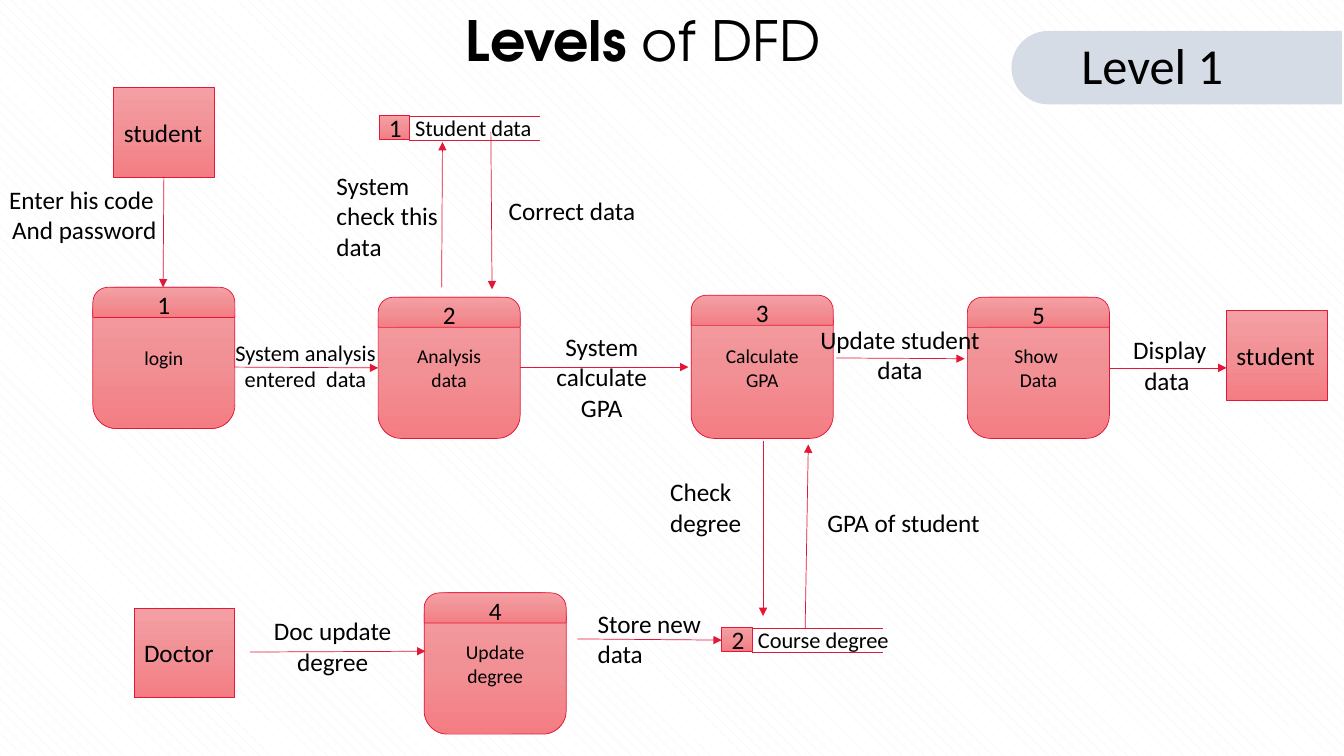
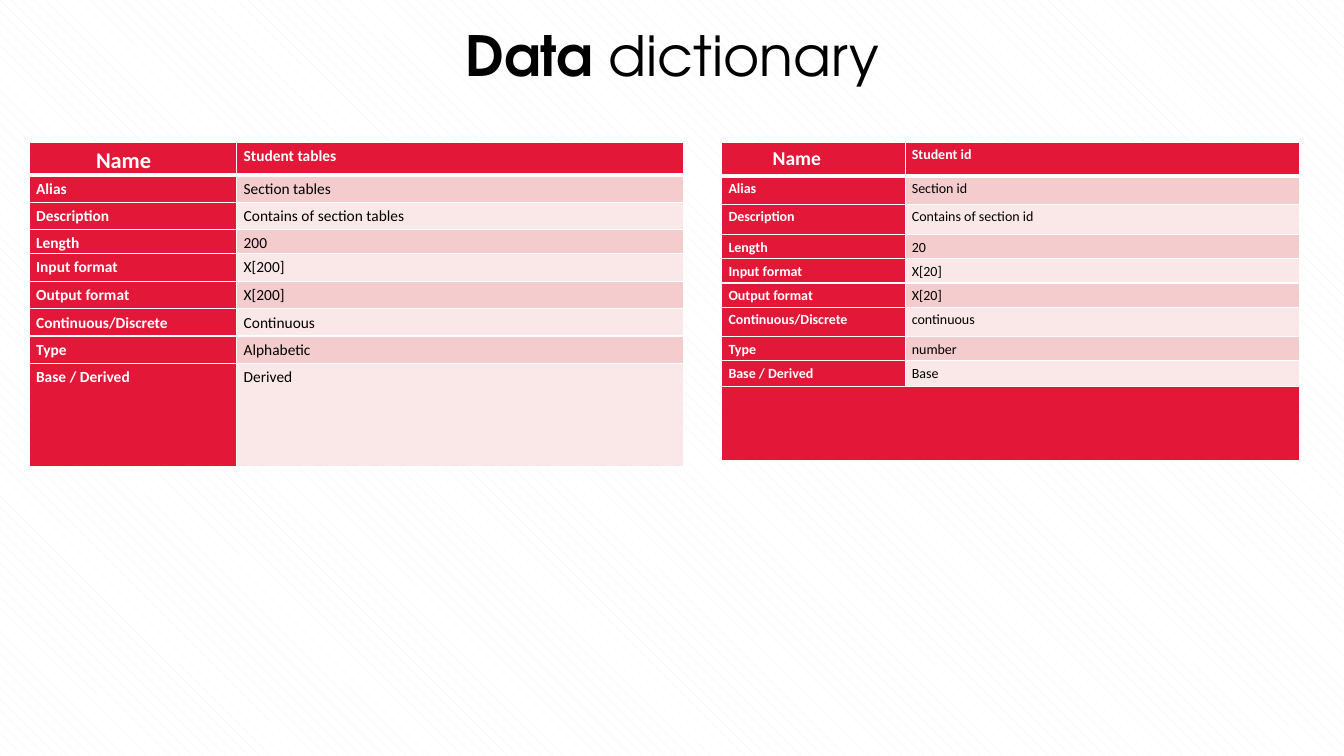
from copy import deepcopy

from lxml.etree import SubElement
from pptx import Presentation
from pptx.dml.color import RGBColor
from pptx.enum.dml import MSO_PATTERN
from pptx.enum.shapes import MSO_CONNECTOR, MSO_SHAPE
from pptx.enum.text import MSO_ANCHOR, MSO_AUTO_SIZE, PP_ALIGN
from pptx.oxml.ns import qn
from pptx.util import Cm, Pt

COLORS = {
    "text": "000000", "white": "FFFFFF", "hatch": "F2F2F2", "red": "E31737",
    "tag": "D6DCE5", "band_dark": "F4CCCE", "band_light": "FAE8E8",
    "node_top": "F49FA4", "node_middle": "F19196", "node_bottom": "F47D83",
}
NODE_STOPS = [(0, "node_top"), (0.5, "node_middle"), (1, "node_bottom")]
BODY_FONT, TITLE_FONT = "Calibri", "TeX Gyre Adventor"
LEFT, CENTER = PP_ALIGN.LEFT, PP_ALIGN.CENTER


def rgb(name):
    return RGBColor.from_string(COLORS[name])


def box(*lengths):
    return [Cm(length) for length in lengths]


class Deck:
    def __init__(self):
        self.prs = Presentation()
        self.prs.slide_width, self.prs.slide_height = box(33.87, 19.05)
        backdrop = self.prs.slide_master.background.fill
        backdrop.patterned()
        backdrop.pattern = MSO_PATTERN.SHINGLE
        backdrop.fore_color.rgb = rgb("hatch")
        backdrop.back_color.rgb = rgb("white")
        self.slide = None

    def add_slide(self, strong, rest, x, y):
        """Start a slide whose title opens in bold."""
        self.slide = self.prs.slides.add_slide(self.prs.slide_layouts[5])
        title = self.slide.shapes.title
        title.left, title.top, title.width, title.height = box(x, y, 29.21, 1.85)
        frame = title.text_frame
        frame.text = strong
        frame.paragraphs[0].add_run().text = rest
        frame.auto_size = MSO_AUTO_SIZE.NONE
        frame.vertical_anchor = MSO_ANCHOR.MIDDLE
        self.style(frame, 39.6, CENTER, font=TITLE_FONT)
        frame.paragraphs[0].line_spacing = 0.9
        for run, bold in zip(frame.paragraphs[0].runs, (True, False)):
            run.font.bold = bold

    def style(self, frame, size, align=LEFT, color="text", bold=False, font=BODY_FONT):
        for paragraph in frame.paragraphs:
            paragraph.alignment = align
            for run in paragraph.runs:
                run.font.name, run.font.size, run.font.bold = font, Pt(size), bold
                run.font.color.rgb = rgb(color)

    def node(self, preset, text, x, y, width, height, size=18, align=CENTER):
        """Add an outlined gradient shape with text."""
        shape = self.slide.shapes.add_shape(preset, *box(x, y, width, height))
        shape.shadow.inherit = False
        shape.fill.gradient()
        stop_list = shape.element.find(".//" + qn("a:gsLst"))
        stop_list.append(deepcopy(stop_list[-1]))
        for stop, (position, color) in zip(shape.fill.gradient_stops, NODE_STOPS):
            stop.position, stop.color.rgb = position, rgb(color)
        shape.fill.gradient_angle = 270
        shape.line.color.rgb, shape.line.width = rgb("red"), Pt(0.5)
        shape.text_frame.text = text
        shape.text_frame.vertical_anchor = MSO_ANCHOR.MIDDLE
        self.style(shape.text_frame, size, align)
        return shape

    def entity(self, text, x, y):
        self.node(MSO_SHAPE.RECTANGLE, text, x, y, 2.54, 2.26, align=LEFT)

    def process(self, number, text, x, y, cap_rise=0):
        self.node(MSO_SHAPE.ROUNDED_RECTANGLE, text, x, y, 3.58, 3.56, size=14)
        cap = self.node(MSO_SHAPE.ROUND_2_SAME_RECTANGLE, number,
                        x, y - cap_rise, 3.58, 0.76)
        cap.adjustments[0], cap.adjustments[1] = 0.5, 0.04

    def store(self, number, text, x, y, text_width):
        """Add a data store: numbered square and name between two rules."""
        for rule_y in (y + 0.03, y + 0.64):
            self.line(x + 0.76, rule_y, x + 4.06, rule_y)
        self.node(MSO_SHAPE.RECTANGLE, number, x, y, 0.76, 0.61, align=LEFT)
        self.label(text, x + 0.66, y - 0.15, text_width, 0.94, size=16, wrap=False)

    def line(self, x1, y1, x2, y2, arrow=False):
        line = self.slide.shapes.add_connector(
            MSO_CONNECTOR.STRAIGHT, *box(x1, y1, x2, y2))
        line.line.color.rgb, line.line.width = rgb("red"), Pt(0.5)
        if arrow:
            SubElement(line.line._get_or_add_ln(), qn("a:tailEnd"), type="triangle")
        SubElement(line.element.spPr, qn("a:effectLst"))

    def label(self, text, x, y, width, height, align=LEFT, size=18, wrap=True):
        frame = self.slide.shapes.add_textbox(*box(x, y, width, height)).text_frame
        frame.text = text
        frame.word_wrap = wrap
        frame.auto_size = MSO_AUTO_SIZE.SHAPE_TO_FIT_TEXT
        self.style(frame, size, align)

    def level_tag(self, text):
        tag = self.slide.shapes.add_shape(
            MSO_SHAPE.ROUND_2_SAME_RECTANGLE, *box(28.73, -2.46, 1.85, 8.33))
        tag.rotation = 270
        tag.adjustments[0], tag.adjustments[1] = 0.5, 0
        tag.shadow.inherit = False
        tag.fill.solid()
        tag.fill.fore_color.rgb = rgb("tag")
        tag.line.fill.background()
        self.label(text, 27, 0.74, 5.31, 1.8, size=36)

    def cell(self, cell, text, fill, size, color, bold, edges):
        """Fill one cell; edges are the top and bottom border widths."""
        properties = cell._tc.get_or_add_tcPr()
        for side, width in zip("LRTB", (1, 1, *edges)):
            border = SubElement(properties, qn(f"a:ln{side}"), w=str(Pt(width)))
            paint = SubElement(border, qn("a:solidFill"))
            SubElement(paint, qn("a:srgbClr"), val=COLORS["white"])
        cell.fill.solid()
        cell.fill.fore_color.rgb = rgb(fill)
        cell.margin_left, cell.margin_top = Cm(0.17), Cm(0.08)
        cell.margin_right, cell.margin_bottom = Cm(0.19), 0
        if text:
            cell.text_frame.text = text
            cell.text_frame.paragraphs[0].line_spacing = 1.07
            self.style(cell.text_frame, size, color=color, bold=bold)

    def dictionary(self, entries, x, columns, heights, size, name_size, name_indent):
        """Add a table of entries; a height beyond them makes a merged last row."""
        table = self.slide.shapes.add_table(
            len(heights), 2, *box(x, 3.58, sum(columns), sum(heights))).table
        table.first_row = table.horz_banding = False
        for column, width in zip(table.columns, columns):
            column.width = Cm(width)
        for index, height in enumerate(heights):
            table.rows[index].height = Cm(height)
            closing = index >= len(entries)
            field, value = ("", "") if closing else entries[index]
            heading = index == 0 or closing
            band = "band_dark" if index % 2 else "band_light"
            edges = (3 if index == 1 else 1, 3 if index == 0 else 1)
            self.cell(table.cell(index, 0), field, "red",
                      size if index else name_size, "white", True, edges)
            self.cell(table.cell(index, 1), value, "red" if heading else band,
                      size, "white" if heading else "text", heading, edges)
            if closing:
                table.cell(index, 0).merge(table.cell(index, 1))
        table.cell(0, 0).margin_left = Cm(0.17 + name_indent)


ENTITIES = [("student", 2.87, 2.21), ("student", 30.91, 7.82), ("Doctor", 3.38, 15.32)]
PROCESSES = [
    ("1", "login", 2.34, 7.24),
    ("2", "Analysis\ndata", 9.53, 7.49),
    ("3", "Calculate\nGPA", 17.42, 7.49, 0.05),
    ("5", "Show \nData", 24.38, 7.49),
    ("4", "Update\ndegree", 10.69, 14.94),
]
STORES = [("1", "Student data", 9.55, 2.9, 3.48), ("2", "Course degree", 18.19, 15.8, 3.86)]
FLOWS = [
    (4.13, 4.47, 4.11, 7.24), (12.37, 3.33, 12.4, 7.29),
    (19.23, 11.1, 19.23, 15.52), (5.92, 9.25, 9.53, 9.27),
    (13.11, 9.25, 17.35, 9.25), (21.08, 9.02, 24.31, 9.04),
    (27.97, 9.27, 30.91, 9.27), (6.3, 16.43, 10.72, 16.41),
    (14.55, 16.1, 18.19, 16.13), (20.29, 15.85, 20.37, 11.2),
    (11.13, 7.24, 11.15, 3.58),
]
FLOW_LABELS = [
    ("Enter his code \nAnd password", -0.3, 4.52, 4.85, 1.8, CENTER),
    ("System analysis entered  data", 5.21, 8.41, 4.98, 1.63, CENTER, 16),
    ("System check this data", 8.23, 4.17, 3.3, 2.57),
    ("Correct data", 12.57, 4.8, 3.89, 1.04),
    ("System calculate GPA", 13.21, 8.23, 3.91, 2.57, CENTER),
    ("Display data ", 28.12, 8.31, 2.72, 1.8, CENTER),
    ("Update student data", 20.42, 8.05, 4.52, 1.8, CENTER),
    ("Doc update degree", 6.38, 15.39, 4.01, 1.8, CENTER),
    ("Store new data", 14.81, 15.21, 3.33, 1.8),
    ("Check degree", 16.64, 11.89, 3.71, 1.8),
    ("GPA of student", 20.6, 12.65, 4.9, 1.02),
]
FIELDS = ["Name", "Alias", "Description", "Length", "Input format", "Output format",
          "Continuous/Discrete", "Type", "Base / Derived"]
STUDENT_TABLES = ["Student tables", "Section tables", "Contains of section tables", "200",
                  "X[200]", "X[200]", "Continuous", "Alphabetic", "Derived"]
STUDENT_ID = ["Student id", "Section id", "Contains of section id", "20",
              "X[20]", "X[20]", "continuous", "number", "Base"]


def main():
    deck = Deck()

    deck.add_slide("Levels", " of DFD", 1.6, 0.18)
    deck.level_tag("Level 1")
    for entity in ENTITIES:
        deck.entity(*entity)
    for process in PROCESSES:
        deck.process(*process)
    for store in STORES:
        deck.store(*store)
    for flow in FLOWS:
        deck.line(*flow, arrow=True)
    for flow_label in FLOW_LABELS:
        deck.label(*flow_label)

    deck.add_slide("Data", " dictionary", 2.34, 0.56)
    deck.dictionary(list(zip(FIELDS, STUDENT_TABLES)), 0.74, (5.23, 11.25),
                    (0.83, 0.69, 0.69, 0.58, 0.71, 0.69, 0.69, 0.69, 2.61),
                    size=11, name_size=16, name_indent=1.51)
    deck.dictionary(list(zip(FIELDS, STUDENT_ID)), 18.19, (4.62, 9.93),
                    (0.86, 0.71, 0.76, 0.61, 0.61, 0.61, 0.74, 0.61, 0.64, 1.87),
                    size=10, name_size=14, name_indent=1.11)
    deck.prs.save("out.pptx")


if __name__ == "__main__":
    main()
